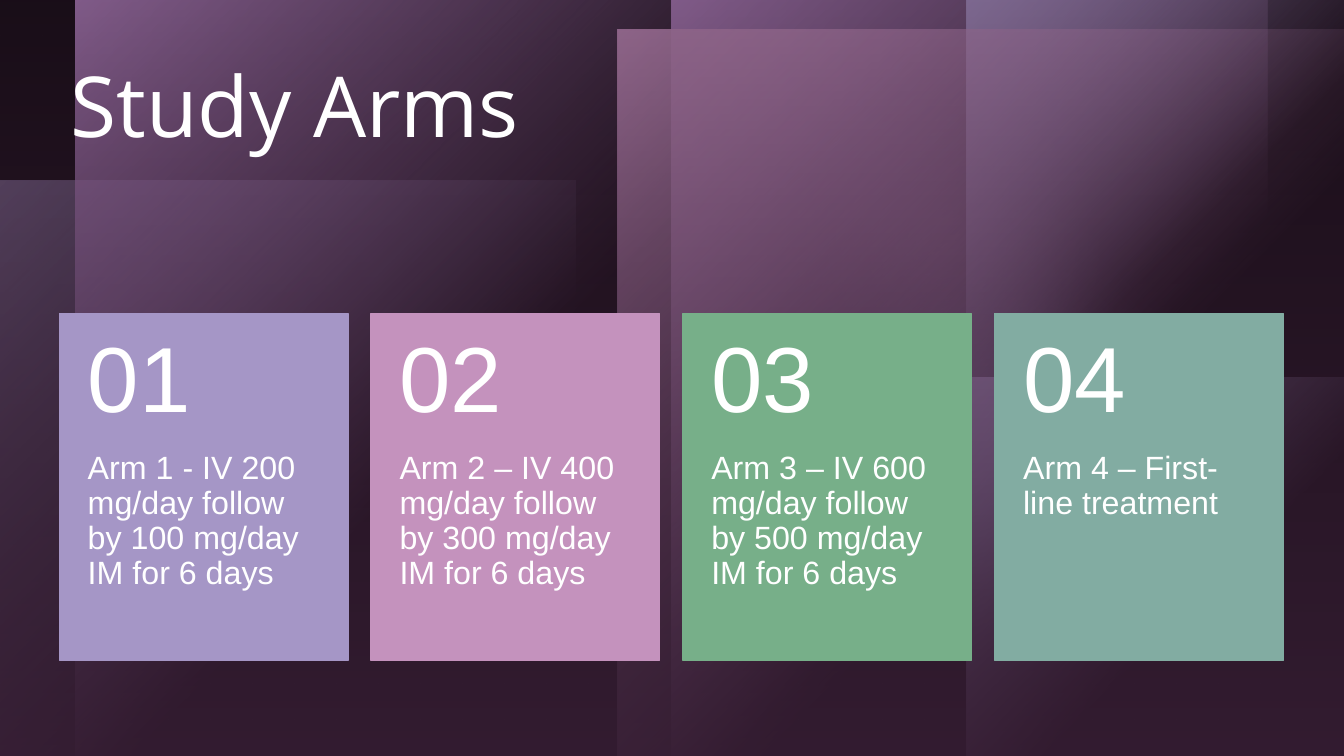
from dataclasses import dataclass

from lxml import etree
from pptx import Presentation
from pptx.dml.color import RGBColor
from pptx.enum import shapes, text
from pptx.oxml import ns
from pptx.util import Pt


@dataclass(frozen=True)
class Theme:
    white: str = "FFFFFF"
    black: str = "000000"
    plum: str = "41243E"
    lilac: str = "A596C6"
    violet: str = "AA7FBA"
    pink: str = "C492BD"
    green: str = "77AF89"
    teal: str = "82ACA2"
    title_font: str = "Open Sans"
    body_font: str = "Arial"
    title_size: float = 60
    number_size: float = 66
    body_size: float = 23
    line_spacing: float = 0.9


@dataclass(frozen=True)
class Box:
    left: float
    top: float
    width: float
    height: float


@dataclass(frozen=True)
class Pane:
    box: Box
    color: str
    alpha: int = 100


@dataclass(frozen=True)
class Arm:
    number: str
    treatment: str
    color: str


THEME = Theme()
SLIDE = Box(0, 0, 960, 540)

GLOWS = [
    Pane(Box(502.5, 0, 340, 340), THEME.pink, 96),
    Pane(Box(481.5, 97, 433.5, 433.5), THEME.lilac, 60),
]
GLOW_SOFTNESS = 100
CORNER_PANE = Pane(Box(0, 129, 411, 411), THEME.lilac, 60)
PANES = [
    Pane(Box(479.5, 0, 425.5, 540), THEME.violet),
    Pane(Box(54, 0, 425.5, 540), THEME.violet),
    Pane(Box(690, 270, 270, 270), THEME.lilac),
    Pane(Box(690, 0, 270, 270), THEME.lilac),
    Pane(Box(441, 21, 519, 519), THEME.pink),
]

ARMS = [
    Arm("01", "Arm 1 - IV 200 mg/day follow by 100 mg/day IM for 6 days", THEME.lilac),
    Arm("02", "Arm 2 – IV 400 mg/day follow by 300 mg/day IM for 6 days", THEME.pink),
    Arm("03", "Arm 3 – IV 600 mg/day follow by 500 mg/day IM for 6 days", THEME.green),
    Arm("04", "Arm 4 – First-line treatment", THEME.teal),
]
FIRST_CARD = Box(42.4, 224, 206.2, 247.6)
CARD_PITCH = 222.7
NUMBER_HEIGHT = 99


def lengths(box: Box) -> tuple:
    return Pt(box.left), Pt(box.top), Pt(box.width), Pt(box.height)


def add_plain(parent, kind, box: Box, color: str):
    plain = parent.add_shape(kind, *lengths(box))
    plain.shadow.inherit = False
    plain.fill.solid()
    plain.fill.fore_color.rgb = RGBColor.from_string(color)
    plain.line.fill.background()
    return plain


def set_alpha(shape, alpha: int) -> None:
    color = shape.element.spPr.find(ns.qn("a:solidFill"))[0]
    etree.SubElement(color, ns.qn("a:alpha"), val=str(alpha * 1000))


def set_gradient(shape, stops: list, direction: str) -> None:
    """Replace the fill; stops are (position, colour, alpha), all in percent."""
    stop_xml = "".join(
        f'<a:gs pos="{pos * 1000}"><a:srgbClr val="{color}">'
        f'<a:alpha val="{alpha * 1000}"/></a:srgbClr></a:gs>'
        for pos, color, alpha in stops
    )
    gradient = etree.fromstring(
        f'<a:gradFill {ns.nsdecls("a")} rotWithShape="1">'
        f"<a:gsLst>{stop_xml}</a:gsLst>{direction}</a:gradFill>"
    )
    solid = shape.element.spPr.find(ns.qn("a:solidFill"))
    solid.getparent().replace(solid, gradient)


def add_pane(parent, pane: Pane) -> None:
    """A rectangle that fades out from its top left corner."""
    rectangle = add_plain(parent, shapes.MSO_SHAPE.RECTANGLE, pane.box, pane.color)
    set_gradient(
        rectangle,
        [(0, pane.color, pane.alpha), (60, pane.color, 0)],
        '<a:path path="circle"><a:fillToRect r="100000" b="100000"/></a:path>',
    )


def add_glow(parent, glow: Pane) -> None:
    ellipse = add_plain(parent, shapes.MSO_SHAPE.OVAL, glow.box, glow.color)
    set_alpha(ellipse, glow.alpha)
    effects = ellipse.element.spPr.find(ns.qn("a:effectLst"))
    etree.SubElement(effects, ns.qn("a:softEdge"), rad=str(Pt(GLOW_SOFTNESS)))


def write(frame, words: str, font: str, size: float) -> None:
    paragraph = frame.paragraphs[0]
    paragraph.alignment = text.PP_ALIGN.LEFT
    paragraph.line_spacing = THEME.line_spacing
    run = paragraph.add_run()
    run.text = words
    run.font.name = font
    run.font.size = Pt(size)
    run.font.color.rgb = RGBColor.from_string(THEME.white)


def add_label(parent, box: Box, words: str, size: float, anchor,
              inset_top: float, inset_bottom: float) -> None:
    frame = parent.add_textbox(*lengths(box)).text_frame
    frame.word_wrap = True
    frame.auto_size = text.MSO_AUTO_SIZE.NONE
    frame.vertical_anchor = anchor
    frame.margin_left = frame.margin_right = Pt(20.3)
    frame.margin_top, frame.margin_bottom = Pt(inset_top), Pt(inset_bottom)
    write(frame, words, THEME.body_font, size)


def add_card(parent, arm: Arm, box: Box) -> None:
    card = add_plain(parent, shapes.MSO_SHAPE.RECTANGLE, box, arm.color)
    card.line.color.rgb = RGBColor.from_string(arm.color)
    card.line.width = Pt(1)
    number_box = Box(box.left, box.top, box.width, NUMBER_HEIGHT)
    treatment_box = Box(box.left, box.top + NUMBER_HEIGHT,
                        box.width, box.height - NUMBER_HEIGHT)
    add_label(parent, treatment_box, arm.treatment, THEME.body_size,
              text.MSO_ANCHOR.TOP, 0, 26)
    add_label(parent, number_box, arm.number, THEME.number_size,
              text.MSO_ANCHOR.MIDDLE, 13, 13)


def main() -> None:
    deck = Presentation()
    deck.slide_width, deck.slide_height = Pt(SLIDE.width), Pt(SLIDE.height)
    slide = deck.slides.add_slide(deck.slide_layouts[5])
    slide.background.fill.solid()
    slide.background.fill.fore_color.rgb = RGBColor.from_string(THEME.black)

    # Backdrop of fading panes and soft glows
    backdrop = slide.shapes.add_group_shape().shapes
    add_pane(backdrop, CORNER_PANE)
    for glow in GLOWS:
        add_glow(backdrop, glow)
    for pane in PANES:
        add_pane(backdrop, pane)

    # Plum veil over the backdrop
    veil = add_plain(slide.shapes, shapes.MSO_SHAPE.RECTANGLE, SLIDE, THEME.plum)
    set_gradient(veil, [(0, THEME.plum, 40), (100, THEME.plum, 80)],
                 '<a:lin ang="5400000" scaled="0"/>')

    # Title, brought in front of the backdrop
    title = slide.shapes.title
    slide.shapes.element.append(title.element)
    title.left, title.top, title.width, title.height = lengths(Box(43.2, 42.5, 872, 142.5))
    title.text_frame.vertical_anchor = text.MSO_ANCHOR.TOP
    write(title.text_frame, "Study Arms", THEME.title_font, THEME.title_size)

    # One card per study arm
    cards = slide.shapes.add_group_shape().shapes
    for index, arm in enumerate(ARMS):
        left = FIRST_CARD.left + index * CARD_PITCH
        add_card(cards, arm, Box(left, FIRST_CARD.top, FIRST_CARD.width, FIRST_CARD.height))

    deck.save("out.pptx")


if __name__ == "__main__":
    main()
